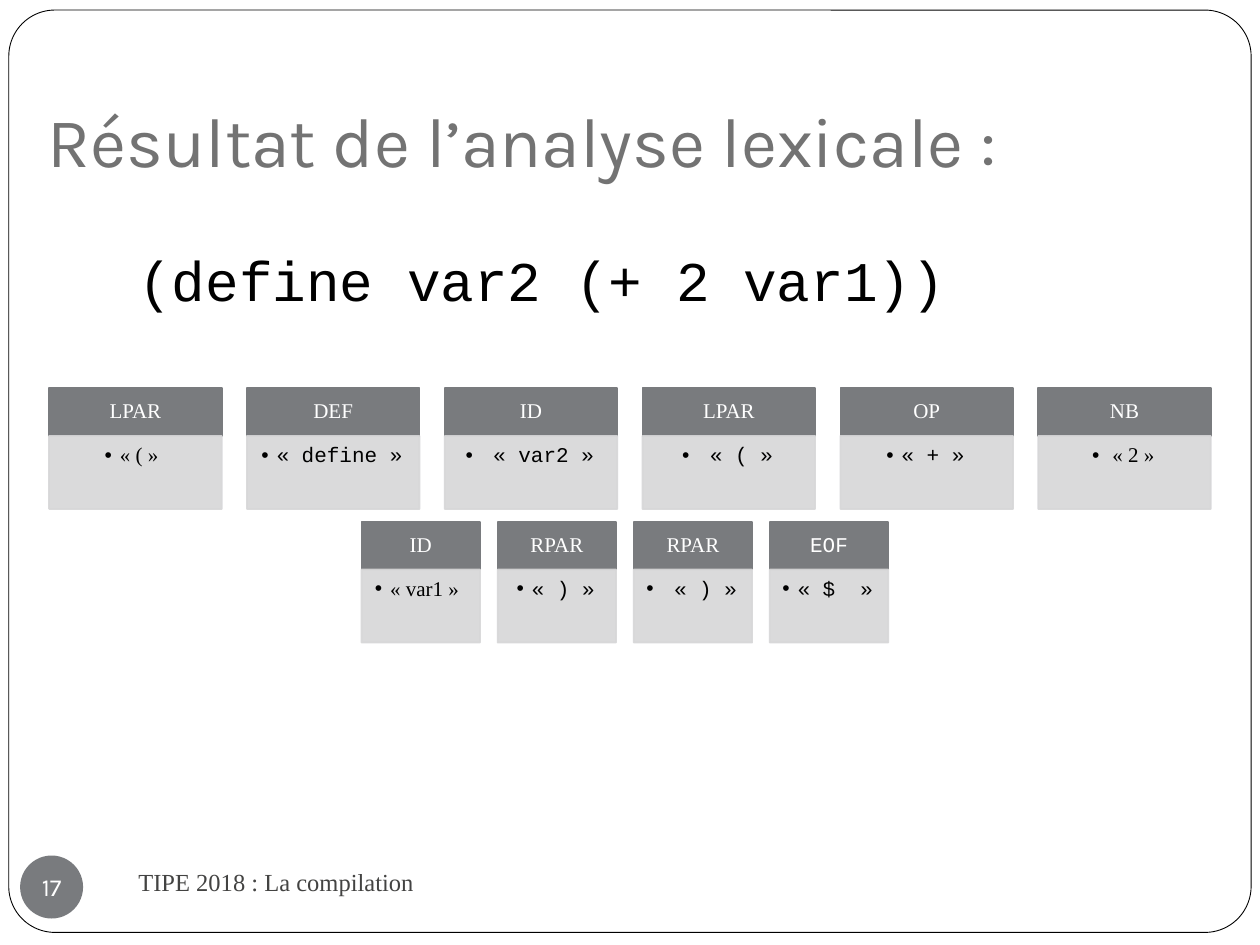
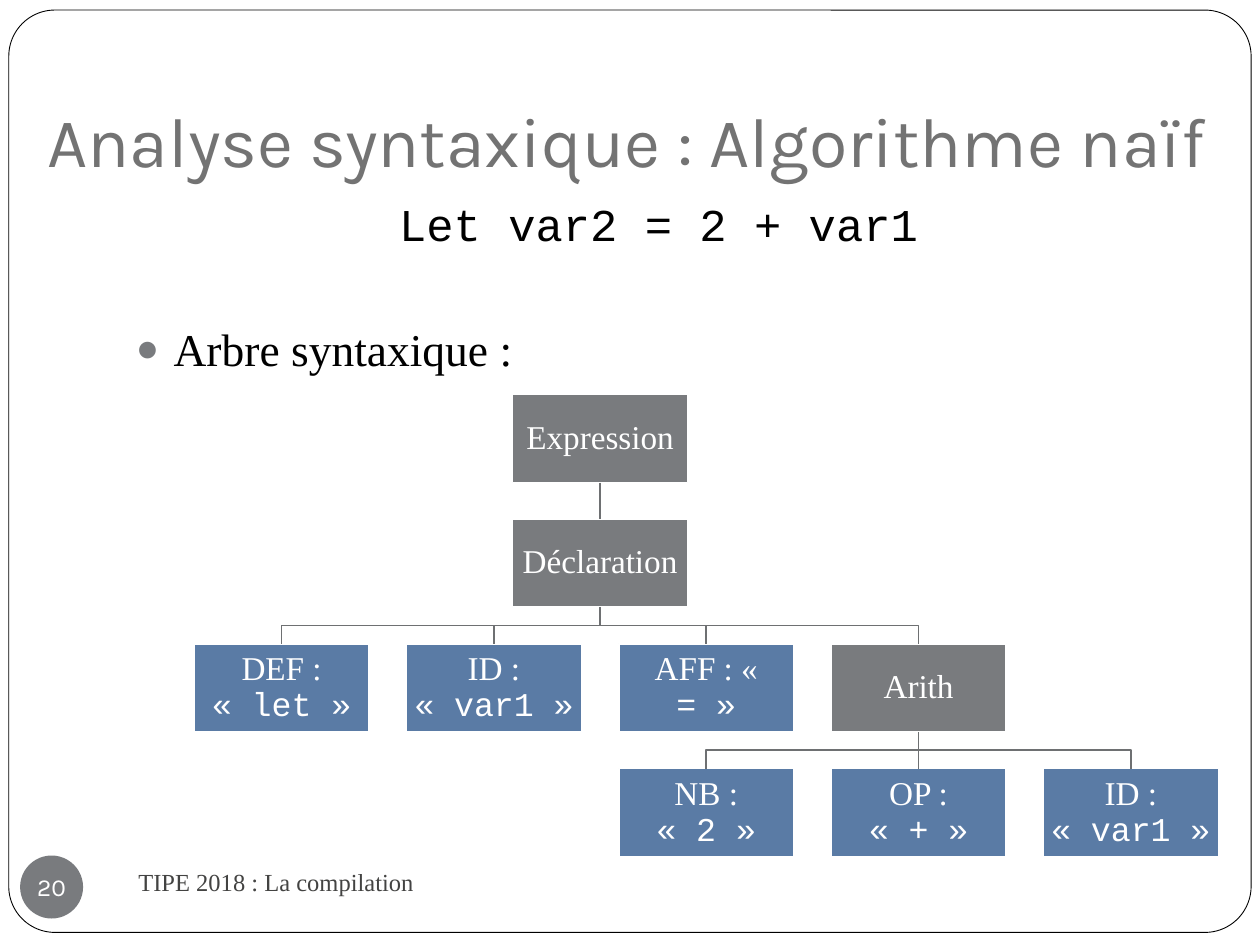
"""Build two slides on lexical and syntactic analysis."""
from lxml import etree
from pptx import Presentation
from pptx.dml.color import RGBColor
from pptx.enum.shapes import MSO_CONNECTOR, MSO_SHAPE
from pptx.enum.text import MSO_ANCHOR, PP_ALIGN
from pptx.oxml.ns import qn
from pptx.util import Inches, Pt

RECT, ROUND, OVAL = MSO_SHAPE.RECTANGLE, MSO_SHAPE.ROUNDED_RECTANGLE, MSO_SHAPE.OVAL
TOP, MIDDLE, BOTTOM = MSO_ANCHOR.TOP, MSO_ANCHOR.MIDDLE, MSO_ANCHOR.BOTTOM
LEFT, CENTER = PP_ALIGN.LEFT, PP_ALIGN.CENTER
STRAIGHT = MSO_CONNECTOR.STRAIGHT
SERIF, MONO, SANS = "Times New Roman", "Courier New", "Karla"
COLORS = {"white": "FFFFFF", "black": "000000", "grey": "797B7E", "pale": "D7D7D8",
          "blue": "5A7BA5", "title": "737373", "footer": "434342", "branch": "6E7072"}


def rgb(name):
    return RGBColor.from_string(COLORS[name])


def add_text(s, at, runs=(), kind=None, fill=None, line=None, line_width=1, size=12,
             color="black", align=LEFT, anchor=TOP, inset=(0.1, 0.05, 0.1, 0.05),
             wrap=True, spacing=None, before=0, indent=0, bullet=None, bullet_color=None,
             bullet_size=100):
    box = [Inches(v) for v in at]
    if kind is None:
        sp = s.shapes.add_textbox(*box)
    else:
        sp = s.shapes.add_shape(kind, *box)
        sp.shadow.inherit = False
        sp.fill.solid()
        sp.fill.fore_color.rgb = rgb(fill)
        if line:
            sp.line.color.rgb = rgb(line)
            sp.line.width = Pt(line_width)
        else:
            sp.line.fill.background()
    tf = sp.text_frame
    tf.word_wrap = wrap
    tf.vertical_anchor = anchor
    tf.margin_left, tf.margin_top, tf.margin_right, tf.margin_bottom = map(Inches, inset)
    p = tf.paragraphs[0]
    p.alignment = align
    p.space_before = Pt(before)
    if spacing:
        p.line_spacing = spacing
    if bullet:
        pPr = p._p.get_or_add_pPr()
        pPr.set("marL", str(Inches(indent)))
        pPr.set("indent", str(-Inches(indent)))
        if bullet_color:
            clr = etree.SubElement(pPr, qn("a:buClr"))
            etree.SubElement(clr, qn("a:srgbClr"), val=COLORS[bullet_color])
        etree.SubElement(pPr, qn("a:buSzPct"), val=str(bullet_size * 1000))
        etree.SubElement(pPr, qn("a:buFont"), typeface="Arial")
        etree.SubElement(pPr, qn("a:buChar"), char=bullet)
    for text, font in runs:
        if text == "\n":
            p.add_line_break()
            continue
        r = p.add_run()
        r.text = text
        r.font.name = font
        r.font.size = Pt(size)
        r.font.color.rgb = rgb(color)
    return sp


prs = Presentation()
prs.slide_width, prs.slide_height = Inches(10), Inches(7.5)

slides = []
for title, number in [("Résultat de l’analyse lexicale :", "17"),
                      ("Analyse syntaxique : Algorithme naïf", "20")]:
    s = prs.slides.add_slide(prs.slide_layouts[6])
    frame = add_text(s, (0.07, 0.08, 9.86, 7.32), kind=ROUND, fill="white",
                     line="black", line_width=0.5)
    frame.adjustments[0] = 0.05
    add_text(s, (0.28, 0.29, 9.61, 1.25), [(title, SANS)], size=40, color="title",
             anchor=BOTTOM, inset=(0.1, 0.05, 0.1, 0.1))
    add_text(s, (1, 6.75, 4.33, 0.5), [("TIPE 2018 : La compilation", SERIF)], size=14,
             color="footer", anchor=MIDDLE)
    add_text(s, (0.16, 6.79, 0.5, 0.5), [(number, SANS)], kind=OVAL, fill="grey", size=14,
             color="white", align=CENTER, anchor=MIDDLE, inset=(0, 0, 0, 0), wrap=False)
    slides.append(s)
lexing, parsing = slides

add_text(lexing, (1, 1.9, 8.5, 0.7), [("(define var2 (+ 2 var1))", MONO)], size=32, before=5.8)

token_rows = [
    (0.39, 3.08, 1.37, 1.57, [
        ("LPAR", SERIF, "« ( » ", SERIF), ("DEF", SERIF, "« define »", MONO),
        ("ID", SERIF, " « var2 »", MONO), ("LPAR", SERIF, " « ( »", MONO),
        ("OP", SERIF, "« + »", MONO), ("NB", SERIF, " « 2 »", SERIF)]),
    (2.87, 4.14, 0.94, 1.08, [
        ("ID", SERIF, "« var1 » ", SERIF), ("RPAR", SERIF, "« ) »", MONO),
        ("RPAR", SERIF, " « ) »", MONO), ("EOF", MONO, "« $  »", MONO)]),
]
for left, top, width, step, tokens in token_rows:
    for i, (name, name_font, lexeme, lexeme_font) in enumerate(tokens):
        x = left + i * step
        add_text(lexing, (x, top, width, 0.38), [(name, name_font)], kind=RECT, fill="grey",
                 line="grey", color="white", align=CENTER, anchor=MIDDLE, spacing=0.9)
        body = add_text(lexing, (x, top + 0.38, width, 0.58), [(lexeme, lexeme_font)],
                        kind=RECT, fill="pale", line="pale", align=CENTER, spacing=0.9,
                        inset=(0.07, 0.07, 0.09, 0.1), indent=0.12, bullet="•")
        for clr in body._element.spPr.iter(qn("a:srgbClr")):
            etree.SubElement(clr, qn("a:alpha"), val="90000")

add_text(parsing, (0.98, 1.51, 8.5, 0.6), [("Let var2 = 2 + var1", MONO)], size=26,
         align=CENTER, before=5.8)
add_text(parsing, (0.98, 2.5, 8.5, 0.6), [("Arbre syntaxique :", SERIF)], size=26, before=5.8,
         indent=0.3, bullet="●", bullet_color="grey", bullet_size=85)

NODE_W, NODE_H, COL_STEP, ROW_STEP = 1.39, 0.7, 1.685, 0.99
tree = [
    ("expression", None, 1.5, 0, "Expression", None),
    ("declaration", "expression", 1.5, 1, "Déclaration", None),
    ("def", "declaration", 0, 2, "DEF :", "« let »"),
    ("id", "declaration", 1, 2, "ID :", "« var1 »"),
    ("aff", "declaration", 2, 2, "AFF : «", "= »"),
    ("arith", "declaration", 3, 2, "Arith", None),
    ("nb", "arith", 2, 3, "NB :", "« 2 »"),
    ("op", "arith", 3, 3, "OP :", "« + »"),
    ("operand", "arith", 4, 3, "ID :", "« var1 »"),
]
nodes = {}
for key, parent, col, row, label, lexeme in tree:
    runs = [(label, SERIF)]
    if lexeme:
        runs += [("\n", SERIF), (lexeme, MONO)]
    at = (1.54 + col * COL_STEP, 3.13 + row * ROW_STEP, NODE_W, NODE_H)
    node = nodes[key] = add_text(
        parsing, at, runs, kind=RECT, fill="blue" if lexeme else "grey", line="white", size=19,
        color="white", align=CENTER, anchor=MIDDLE, inset=(0.01,) * 4, spacing=0.9)
    if parent is None:
        continue
    above = nodes[parent]
    x1, y1 = above.left + above.width // 2, above.top + above.height
    x2, y2 = node.left + node.width // 2, node.top
    if x1 == x2:
        branch = parsing.shapes.add_connector(STRAIGHT, x1, y1, x2, y2)
        branch.begin_connect(above, 2)
        branch.end_connect(node, 0)
        etree.SubElement(branch._element.spPr, qn("a:effectLst"))
    else:
        bend = (y1 + y2) // 2
        path_builder = parsing.shapes.build_freeform(x1, y1)
        path_builder.add_line_segments([(x1, bend), (x2, bend), (x2, y2)], close=False)
        branch = path_builder.convert_to_shape()
        branch.fill.background()
        branch.shadow.inherit = False
    branch.line.color.rgb = rgb("branch")
    branch.line.width = Pt(1)

prs.save("out.pptx")
